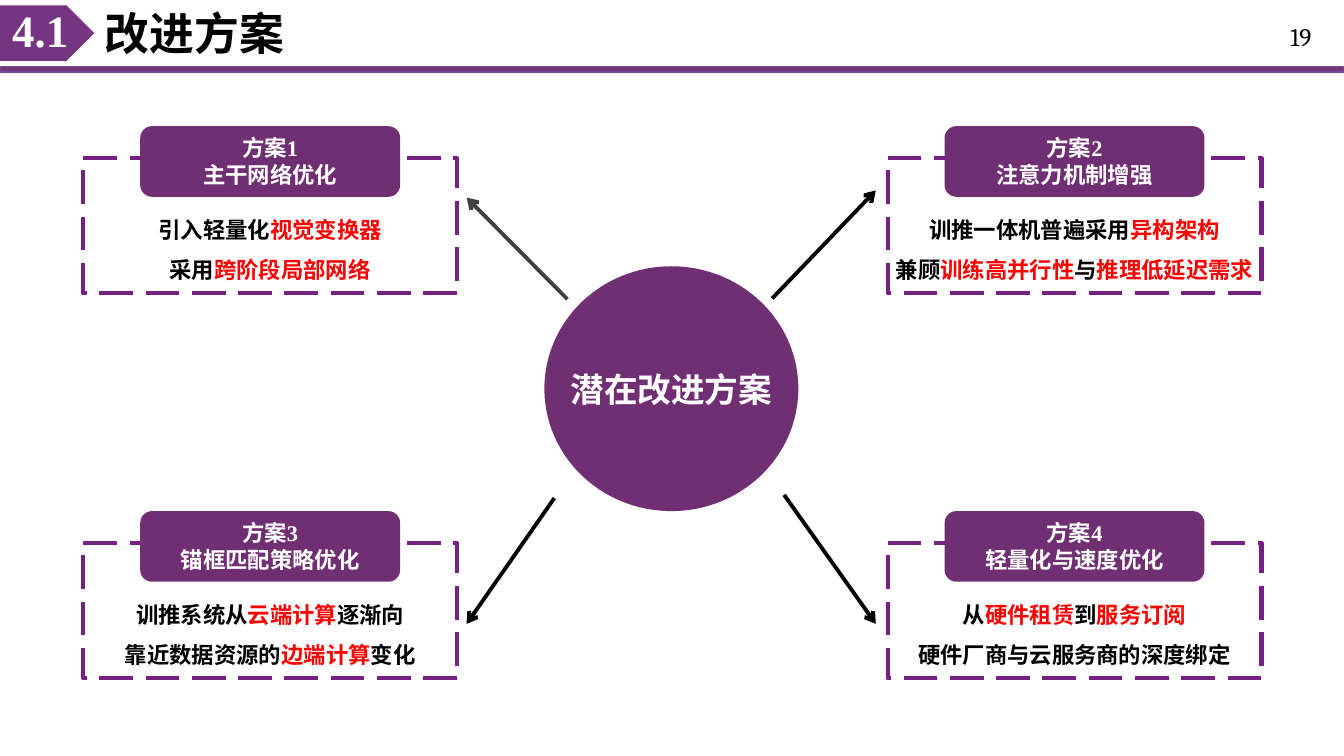
from dataclasses import dataclass

from lxml import etree
from pptx import Presentation
from pptx.dml.color import RGBColor
from pptx.enum import dml, shapes, text
from pptx.oxml import ns
from pptx.util import Cm, Pt


@dataclass(frozen=True)
class Theme:
    header: str = "753582"
    header_edge: str = "715096"
    solid: str = "702F73"
    dashes: str = "762083"
    ink: str = "000000"
    faded: str = "404040"
    accent: str = "FF0000"
    light: str = "FFFFFF"
    latin: str = "Times New Roman"
    number: str = "Cambria"
    chinese: str = "Noto Sans CJK SC"
    title_size: int = 32
    hub_size: int = 24
    number_size: int = 18
    body_size: int = 16


THEME = Theme()
CARD_WIDTH, CARD_HEIGHT = 9.42, 3.4
CARD_LEFTS, CARD_TOPS = (2.1, 22.37), (3.99, 13.69)
CARDS = [
    ("方案1", "主干网络优化", ["引入轻量化*视觉变换器*", "采用*跨阶段局部网络*"]),
    ("方案2", "注意力机制增强",
     ["训推一体机普遍采用*异构架构*", "兼顾*训练高并行性*与*推理低延迟需求*"]),
    ("方案3", "锚框匹配策略优化",
     ["训推系统从*云端计算*逐渐向", "靠近数据资源的*边端计算*变化"]),
    ("方案4", "轻量化与速度优化",
     ["从*硬件租赁*到*服务订阅*", "硬件厂商与云服务商的深度绑定"]),
]
ARROWS = [
    ((14.3, 7.54), (11.76, 4.98), THEME.faded),
    ((19.46, 7.52), (22.07, 4.8), THEME.ink),
    ((13.97, 12.55), (11.76, 15.72), THEME.ink),
    ((19.76, 12.47), (22.07, 15.72), THEME.ink),
]


def color(value):
    return RGBColor.from_string(value)


def write(frame, lines, size=THEME.body_size, ink=THEME.ink, font=THEME.latin,
          bold=True, align=text.PP_ALIGN.CENTER, spacing=None,
          anchor=text.MSO_ANCHOR.MIDDLE, wrap=True, side=0.25):
    """Fill a text frame; words between asterisks take the accent colour."""
    frame.word_wrap = wrap
    frame.auto_size = text.MSO_AUTO_SIZE.NONE
    frame.vertical_anchor = anchor
    frame.margin_left = frame.margin_right = Cm(side)
    frame.margin_top = frame.margin_bottom = Cm(0.13)
    for index, line in enumerate(lines):
        paragraph = frame.add_paragraph() if index else frame.paragraphs[0]
        paragraph.alignment = align
        paragraph.line_spacing = spacing
        for position, words in enumerate(line.split("*")):
            if not words:
                continue
            run = paragraph.add_run()
            run.text = words
            run.font.size = Pt(size)
            run.font.bold = bold
            run.font.name = font
            run.font.color.rgb = color(THEME.accent if position % 2 else ink)
            properties = run.font._element
            etree.SubElement(properties, ns.qn("a:ea"), typeface=THEME.chinese)


def place(box):
    return [Cm(length) for length in box]


def add_text(slide, box, lines, **formats):
    write(slide.shapes.add_textbox(*place(box)).text_frame, lines, **formats)


def add_shape(slide, kind, box, fill=None, line=None, width=1):
    shape = slide.shapes.add_shape(kind, *place(box))
    shape.shadow.inherit = False
    if fill:
        shape.fill.solid()
        shape.fill.fore_color.rgb = color(fill)
    else:
        shape.fill.background()
    if line:
        shape.line.color.rgb = color(line)
        shape.line.width = Pt(width)
    else:
        shape.line.fill.background()
    return shape


def add_header(slide, box):
    left, top, width, height = box
    add_shape(slide, shapes.MSO_SHAPE.RECTANGLE,
              (left, top + height - 0.15, width, 0.15),
              THEME.header, THEME.header_edge)
    add_text(slide, (left + width - 2.37, top + 0.41, 1.8, 1.02), ["19"],
             size=THEME.number_size, font=THEME.number, bold=False,
             align=text.PP_ALIGN.RIGHT)

    flag = add_shape(slide, shapes.MSO_SHAPE.SNIP_2_SAME_RECTANGLE,
                     (left + 0.48, top - 0.36, 1.4, 2.39), THEME.header)
    flag.adjustments[0], flag.adjustments[1] = 0.5, 0
    flag.rotation = 90
    add_text(slide, (left, top + 0.1, 2.03, 1.47), ["4.1"],
             size=THEME.title_size, ink=THEME.light, spacing=0.9)

    title = slide.shapes.title
    title.left, title.top, title.width, title.height = place(
        (left + 2.39, top + 0.15, 30.05, 1.5))
    write(title.text_frame, ["改进方案"], size=THEME.title_size,
          align=text.PP_ALIGN.LEFT, spacing=0.9)


def add_card(slide, box, number, name, details):
    left, top, width, height = box
    frame = add_shape(slide, shapes.MSO_SHAPE.ROUNDED_RECTANGLE, box,
                      line=THEME.dashes, width=3)
    frame.adjustments[0] = 0
    frame.line.dash_style = dml.MSO_LINE.LONG_DASH

    badge_width, body_width = 6.55, 11.2
    badge = add_shape(slide, shapes.MSO_SHAPE.ROUNDED_RECTANGLE,
                      (left + (width - badge_width) / 2, top - 0.81,
                       badge_width, 1.78), THEME.solid)
    write(badge.text_frame, [number, name], ink=THEME.light)
    add_text(slide, (left + (width - body_width) / 2, top + 0.98,
                     body_width, height - 1.27), details,
             spacing=1.5, anchor=text.MSO_ANCHOR.TOP, side=1)


def add_hub(slide, box):
    hub = add_shape(slide, shapes.MSO_SHAPE.OVAL, box, THEME.solid)
    write(hub.text_frame, ["潜在改进方案"], size=THEME.hub_size,
          ink=THEME.light, font=THEME.chinese, wrap=False)


def add_arrow(slide, start, end, ink):
    arrow = slide.shapes.add_connector(
        shapes.MSO_CONNECTOR.STRAIGHT, *place(start + end))
    arrow.line.color.rgb = color(ink)
    arrow.line.width = Pt(2.75)
    etree.SubElement(arrow.line._get_or_add_ln(), ns.qn("a:tailEnd"), type="arrow")
    etree.SubElement(arrow._element.spPr, ns.qn("a:effectLst"))


def main():
    presentation = Presentation()
    presentation.slide_width, presentation.slide_height = Cm(33.87), Cm(19.05)
    title_only = presentation.slide_layouts[5]
    slide = presentation.slides.add_slide(title_only)

    add_header(slide, (0, 0, 33.87, 1.82))
    for index, card in enumerate(CARDS):
        row, column = divmod(index, 2)
        add_card(slide, (CARD_LEFTS[column], CARD_TOPS[row],
                         CARD_WIDTH, CARD_HEIGHT), *card)
    add_hub(slide, (13.72, 6.71, 6.4, 6.17))
    for arrow in ARROWS:
        add_arrow(slide, *arrow)
    presentation.save("out.pptx")


if __name__ == "__main__":
    main()
